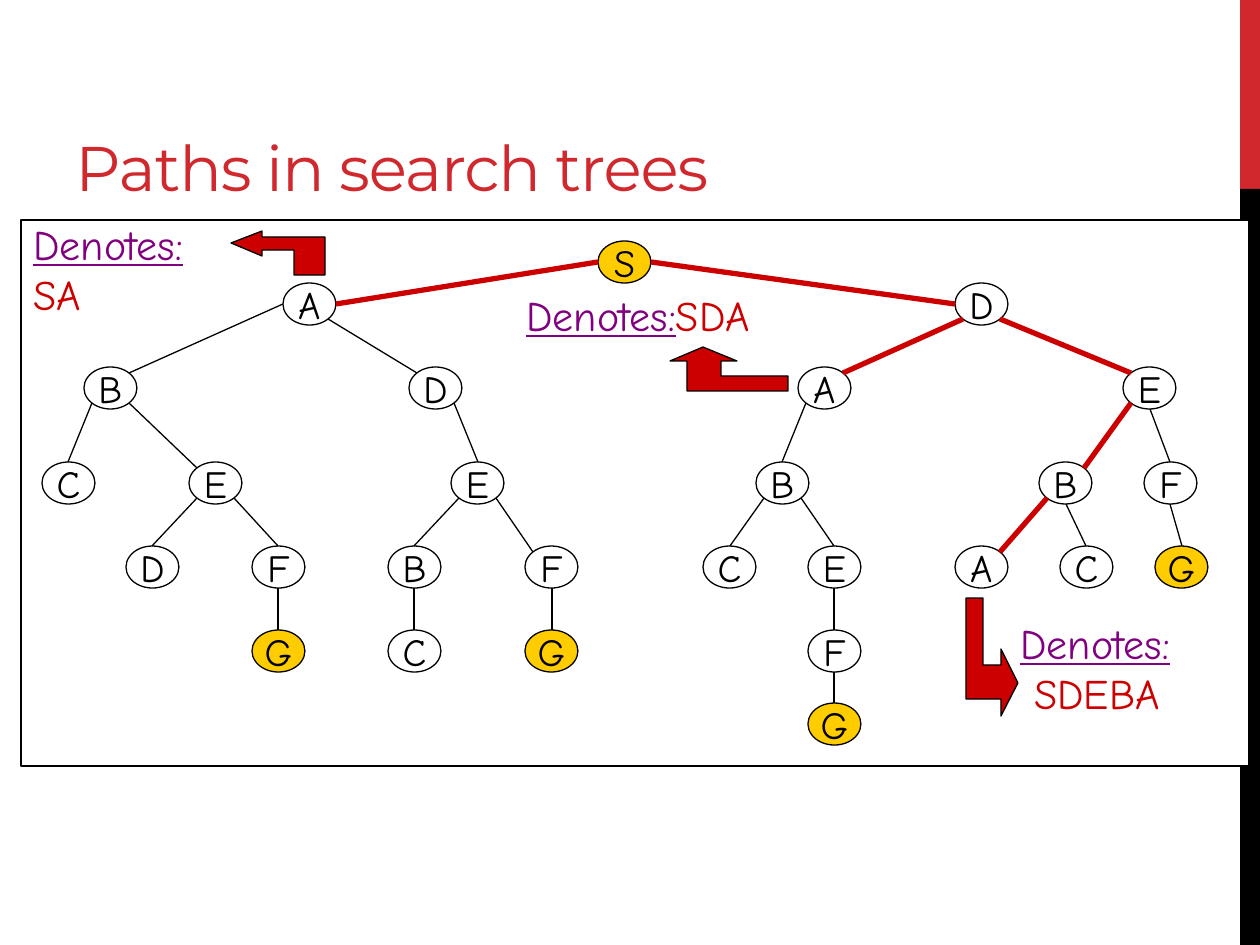
"""Build a slide that shows how paths are denoted in a search tree."""
from dataclasses import dataclass
from math import sqrt

from lxml import etree
from pptx import Presentation
from pptx import util as u
from pptx.dml.color import RGBColor
from pptx.enum import shapes, text
from pptx.oxml import ns

EMU_PER_PX = 914400 / 126
NODE_WIDTH, NODE_HEIGHT = 53, 42
ROW_TOPS = (241, 283, 367, 462, 546, 630, 703)
DIAGONAL = sqrt(0.5)
SITES = {
    "N": (0, -1), "E": (1, 0), "S": (0, 1), "W": (-1, 0),
    "NE": (DIAGONAL, -DIAGONAL), "NW": (-DIAGONAL, -DIAGONAL),
    "SE": (DIAGONAL, DIAGONAL), "SW": (-DIAGONAL, DIAGONAL),
}
TITLE_RED = RGBColor(0xD1, 0x28, 0x2E)
PATH_RED = RGBColor(0xCC, 0x00, 0x00)
PURPLE = RGBColor(0x80, 0x00, 0x80)
GOLD = RGBColor(0xFF, 0xCC, 0x00)
BLACK = RGBColor(0x00, 0x00, 0x00)
WHITE = RGBColor(0xFF, 0xFF, 0xFF)
TREE_FONT, TITLE_FONT = "Comic Neue", "Montserrat"


@dataclass(frozen=True)
class Node:
    """Tree node named by its path, with the sites its parent edge joins."""
    path_name: str
    left: int
    parent_site: str = "S"
    own_site: str = "N"

    @property
    def top(self) -> int:
        return ROW_TOPS[len(self.path_name) - 1]

    def site(self, name: str) -> tuple[int, int]:
        across, down = SITES[name]
        return (round(self.left + NODE_WIDTH / 2 * (1 + across)),
                round(self.top + NODE_HEIGHT / 2 * (1 + down)))


@dataclass(frozen=True)
class Run:
    """Piece of text in one style."""
    words: str
    color: RGBColor
    size: int = 24
    font: str = TREE_FONT
    underline: bool = False


@dataclass(frozen=True)
class Note:
    """Caption naming a path, with the bent arrow that leads to it."""
    box: tuple[int, int, int, int]
    paragraphs: list[list[Run]]
    arrow: list[tuple[int, int]]


NODES = [
    Node("S", 598),
    Node("SA", 283, "W", "E"), Node("SD", 955, "E", "W"),
    Node("SAB", 84, "W", "NE"), Node("SAD", 409, "SE", "NW"),
    Node("SDA", 798, "SW", "NE"), Node("SDE", 1123, "SE", "NW"),
    Node("SABC", 42, "SW"), Node("SABE", 189, "SE", "NW"),
    Node("SADE", 451, "SE"), Node("SDAB", 756, "SW"),
    Node("SDEB", 1039, "SW", "NE"), Node("SDEF", 1144),
    Node("SABED", 126, "SW"), Node("SABEF", 252, "SE"),
    Node("SADEB", 388, "SW"), Node("SADEF", 525, "SE", "NW"),
    Node("SDABC", 703, "SW"), Node("SDABE", 808, "SE"),
    Node("SDEBA", 955, "SW", "NE"), Node("SDEBC", 1060), Node("SDEFG", 1155),
    Node("SABEFG", 252), Node("SADEBC", 388), Node("SADEFG", 525),
    Node("SDABEF", 808), Node("SDABEFG", 808),
]
DENOTES = Run("Denotes:", PURPLE, underline=True)
MARKED_PATHS = ("SA", "SDA", "SDEBA")
NOTES = [
    Note((21, 212, 198, 113), [[DENOTES], [Run("SA", PATH_RED)]],
         [(231, 243), (262, 256), (262, 250), (294, 250), (294, 275),
          (325, 275), (325, 237), (262, 237), (262, 231)]),
    Note((514, 283, 294, 63), [[DENOTES, Run("SDA", PATH_RED)]],
         [(703, 347), (737, 361), (721, 361), (721, 376), (788, 376),
          (788, 391), (687, 391), (687, 361), (670, 361)]),
    Note((1008, 611, 209, 113), [[DENOTES], [Run(" SDEBA", PATH_RED)]],
         [(1018, 683), (1001, 649), (1001, 665), (983, 665), (983, 598),
          (966, 598), (966, 699), (1001, 699), (1001, 716)]),
]


def px(length: float) -> u.Emu:
    """Turn px into EMU."""
    return u.Emu(round(length * EMU_PER_PX))


def add_run(paragraph, run: Run):
    """Append a styled run to a paragraph."""
    piece = paragraph.add_run()
    piece.text = run.words
    piece.font.name, piece.font.size = run.font, u.Pt(run.size)
    piece.font.color.rgb = run.color
    if run.underline:
        piece.font.underline = True
    return piece


def paint(shape, fill: RGBColor, outlined: bool = True) -> None:
    """Give a shape a flat fill and an optional thin black outline."""
    shape.shadow.inherit = False
    shape.fill.solid()
    shape.fill.fore_color.rgb = fill
    if outlined:
        shape.line.color.rgb = BLACK
        shape.line.width = u.Pt(0.75)
    else:
        shape.line.fill.background()


def add_block(slide, kind, box: tuple[int, int, int, int], fill: RGBColor,
              outlined: bool = True):
    """Draw a painted preset shape."""
    shape = slide.shapes.add_shape(kind, *map(px, box))
    paint(shape, fill, outlined)
    return shape


def add_text(slide, box: tuple[int, int, int, int],
             paragraphs: list[list[Run]]):
    """Draw a wrapping text box and return it."""
    shape = slide.shapes.add_textbox(*map(px, box))
    frame = shape.text_frame
    frame.word_wrap = True
    for index, runs in enumerate(paragraphs):
        paragraph = frame.add_paragraph() if index else frame.paragraphs[0]
        for run in runs:
            add_run(paragraph, run)
    return shape


def add_node(slide, node: Node) -> None:
    """Draw a node; the start and the goals are gold."""
    label = node.path_name[-1]
    shape = add_block(slide, shapes.MSO_SHAPE.OVAL,
                      (node.left, node.top, NODE_WIDTH, NODE_HEIGHT),
                      GOLD if label in "SG" else WHITE)
    frame = shape.text_frame
    frame.word_wrap = False
    frame.vertical_anchor = text.MSO_ANCHOR.MIDDLE
    frame.paragraphs[0].alignment = text.PP_ALIGN.CENTER
    add_run(frame.paragraphs[0], Run(label, BLACK, 22))


def add_edge(slide, parent: Node, child: Node) -> None:
    """Draw an edge, thick and red if it lies on a marked path."""
    marked = any(name.startswith(child.path_name) for name in MARKED_PATHS)
    ends = parent.site(child.parent_site) + child.site(child.own_site)
    connector = slide.shapes.add_connector(
        shapes.MSO_CONNECTOR.STRAIGHT, *map(px, ends))
    connector.line.color.rgb = PATH_RED if marked else BLACK
    connector.line.width = u.Pt(3 if marked else 0.75)
    etree.SubElement(connector._element.spPr, ns.qn("a:effectLst"))


def add_note(slide, note: Note) -> None:
    """Draw a caption and its arrow."""
    add_text(slide, note.box, note.paragraphs)
    builder = slide.shapes.build_freeform(*note.arrow[0], scale=EMU_PER_PX)
    builder.add_line_segments(note.arrow[1:], close=True)
    paint(builder.convert_to_shape(), PATH_RED)


def main() -> None:
    """Build and save the presentation."""
    presentation = Presentation()
    presentation.slide_width, presentation.slide_height = px(1260), px(945)
    slide = presentation.slides.add_slide(presentation.slide_layouts[6])
    rectangle = shapes.MSO_SHAPE.RECTANGLE
    add_block(slide, rectangle, (1240, 0, 20, 189), TITLE_RED, False)
    add_block(slide, rectangle, (1240, 189, 20, 756), BLACK, False)
    title = add_text(slide, (63, 21, 798, 189), [
        [Run("Paths in search trees", TITLE_RED, 36, TITLE_FONT)]])
    title.text_frame.vertical_anchor = text.MSO_ANCHOR.BOTTOM
    title.text_frame.paragraphs[0].runs[0].font._element.set("spc", "-60")
    add_block(slide, rectangle, (21, 220, 1228, 546), WHITE)
    by_path = {node.path_name: node for node in NODES}
    for node in NODES:
        add_node(slide, node)
    for node in NODES[1:]:
        add_edge(slide, by_path[node.path_name[:-1]], node)
    for note in NOTES:
        add_note(slide, note)
    presentation.save("out.pptx")


if __name__ == "__main__":
    main()
